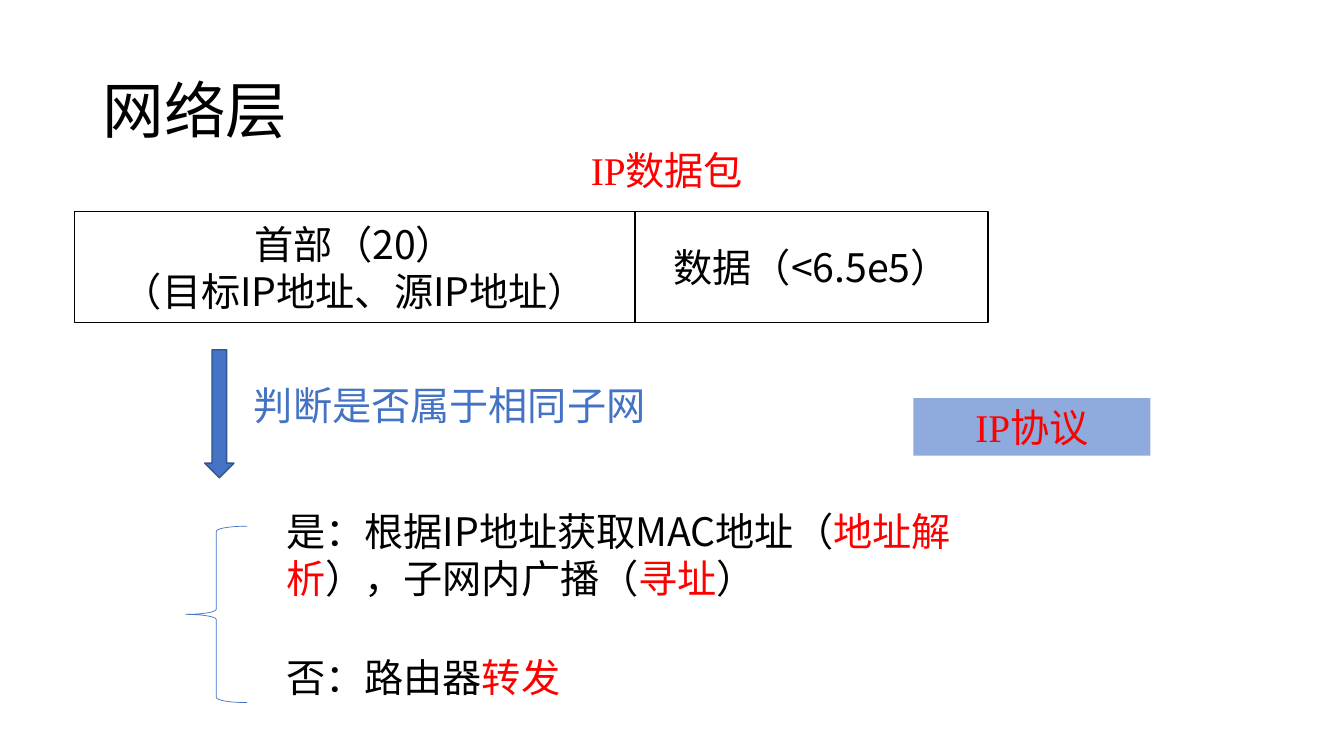
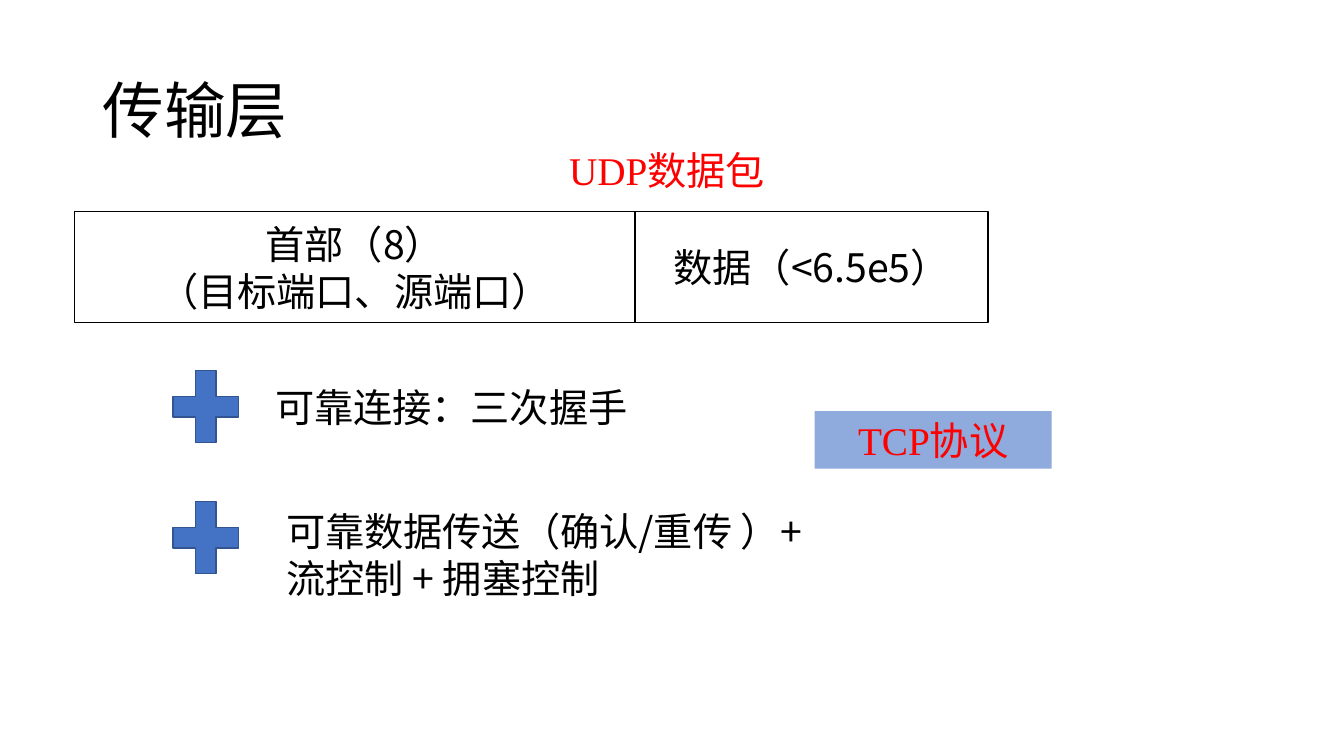
from lxml import etree
from pptx import Presentation
from pptx.dml.color import RGBColor
from pptx.enum.shapes import MSO_SHAPE
from pptx.enum.text import MSO_ANCHOR, MSO_AUTO_SIZE, PP_ALIGN
from pptx.oxml.ns import qn
from pptx.util import Emu, Pt

PX = 9144  # EMU per px, 100 px to the inch
RECT, DOWN_ARROW = MSO_SHAPE.RECTANGLE, MSO_SHAPE.DOWN_ARROW
BRACE, PLUS = MSO_SHAPE.LEFT_BRACE, MSO_SHAPE.MATH_PLUS
LEFT, CENTER = PP_ALIGN.LEFT, PP_ALIGN.CENTER
TOP, MIDDLE = MSO_ANCHOR.TOP, MSO_ANCHOR.MIDDLE
GROW = MSO_AUTO_SIZE.SHAPE_TO_FIT_TEXT


def rgb(value):
    return RGBColor.from_string(value)


class Deck:
    SANS, SERIF = "Noto Sans CJK SC", "Times New Roman"
    BLACK, WHITE, RED = "000000", "FFFFFF", "FF0000"
    BLUE, DARK_BLUE, LIGHT_BLUE = "4472C4", "325491", "8FAADC"
    TITLE_SIZE, BODY_SIZE = 44, 28
    LINE_HEIGHT = 57

    def __init__(self):
        self.prs = Presentation()
        self.prs.slide_width, self.prs.slide_height = Emu(1333 * PX), Emu(750 * PX)
        self.slide = None

    def new_slide(self, title):
        self.slide = self.prs.slides.add_slide(self.prs.slide_layouts[6])
        heading = self.text(92, 40, 1150, 145, [title], size=self.TITLE_SIZE, anchor=MIDDLE)
        heading.paragraphs[0].line_spacing = 0.9

    def fill_text(self, frame, paragraphs, color=BLACK, font=SANS, size=BODY_SIZE,
                  align=LEFT, anchor=TOP):
        """Each paragraph is a string or a list of (text, run font settings)."""
        frame.word_wrap = True
        frame.vertical_anchor = anchor
        for i, content in enumerate(paragraphs):
            paragraph = frame.add_paragraph() if i else frame.paragraphs[0]
            paragraph.alignment = align
            base = paragraph.font
            base.size, base.name = Pt(size), font
            base.color.rgb = rgb(color)
            for defaults in paragraph._p.iter(qn("a:defRPr")):
                etree.SubElement(defaults, qn("a:ea")).set("typeface", self.SANS)
            runs = [(content, {})] if isinstance(content, str) else content
            for words, style in runs:
                run = paragraph.add_run()
                run.text = words
                if "color" in style:
                    run.font.color.rgb = rgb(style["color"])
                if "font" in style:
                    run.font.name = style["font"]
        return frame

    def text(self, x, y, w, h, paragraphs, **style):
        box = self.slide.shapes.add_textbox(*(Emu(v * PX) for v in (x, y, w, h)))
        return self.fill_text(box.text_frame, paragraphs, **style)

    def shape(self, kind, x, y, w, h, fill=None, line=None, weight=1):
        shape = self.slide.shapes.add_shape(kind, *(Emu(v * PX) for v in (x, y, w, h)))
        shape.shadow.inherit = False
        if fill:
            shape.fill.solid()
            shape.fill.fore_color.rgb = rgb(fill)
        else:
            shape.fill.background()
        if line:
            shape.line.color.rgb = rgb(line)
            shape.line.width = Pt(weight)
        else:
            shape.line.fill.background()
        return shape

    def symbol(self, kind, x, y, w, h):
        self.shape(kind, x, y, w, h, self.BLUE, self.DARK_BLUE)

    def packet(self, name, header):
        """A packet's header and data fields side by side, named above."""
        x = 74
        for width, lines in ((556, header), (350, ["数据（<6.5e5）"])):
            field = self.shape(RECT, x, 210, width, 110, self.WHITE, self.BLACK)
            self.fill_text(field.text_frame, lines, align=CENTER, anchor=MIDDLE)
            x += width
        label = [(name, {"font": self.SERIF}), ("数据包", {})]
        self.text(544, 140, 235, self.LINE_HEIGHT, [label], color=self.RED, align=CENTER)

    def protocol(self, x, y, name):
        tag = self.shape(RECT, x, y, 235, self.LINE_HEIGHT, self.LIGHT_BLUE)
        self.fill_text(tag.text_frame, [name], color=self.RED, font=self.SERIF, align=CENTER)
        tag.text_frame.auto_size = GROW

    def save(self):
        self.prs.save("out.pptx")


def network_layer(deck):
    red = {"color": deck.RED}
    deck.new_slide("网络层")
    deck.packet("IP", ["首部（20）", "（目标IP地址、源IP地址）"])

    # Subnet decision
    deck.symbol(DOWN_ARROW, 203, 347, 29, 127)
    deck.text(242, 373, 425, deck.LINE_HEIGHT, ["判断是否属于相同子网"], color=deck.BLUE)

    # The two outcomes
    deck.shape(BRACE, 184, 522, 61, 175, line=deck.BLUE, weight=0.5)
    same_subnet = [("是：根据IP地址获取MAC地址（", {}), ("地址解析", red),
                   ("），子网内广播（", {}), ("寻址", red), ("）", {})]
    deck.text(274, 498, 716, 104, [same_subnet])
    other_subnet = [("否：路由器", {}), ("转发", red)]
    deck.text(274, 643, 444, deck.LINE_HEIGHT, [other_subnet])

    deck.protocol(906, 395, "IP协议")


def transport_layer(deck):
    deck.new_slide("传输层")
    deck.packet("UDP", ["首部（8）", "（目标端口、源端口）"])

    # What is added on top of UDP
    for y in (355, 485):
        deck.symbol(PLUS, 160, y, 88, 97)
    deck.text(263, 375, 444, deck.LINE_HEIGHT, ["可靠连接：三次握手"])
    deck.text(274, 498, 534, 104, ["可靠数据传送（确认/重传 ）+ 流控制 + 拥塞控制"])

    deck.protocol(808, 408, "TCP协议")


def main():
    deck = Deck()
    network_layer(deck)
    transport_layer(deck)
    deck.save()


if __name__ == "__main__":
    main()
